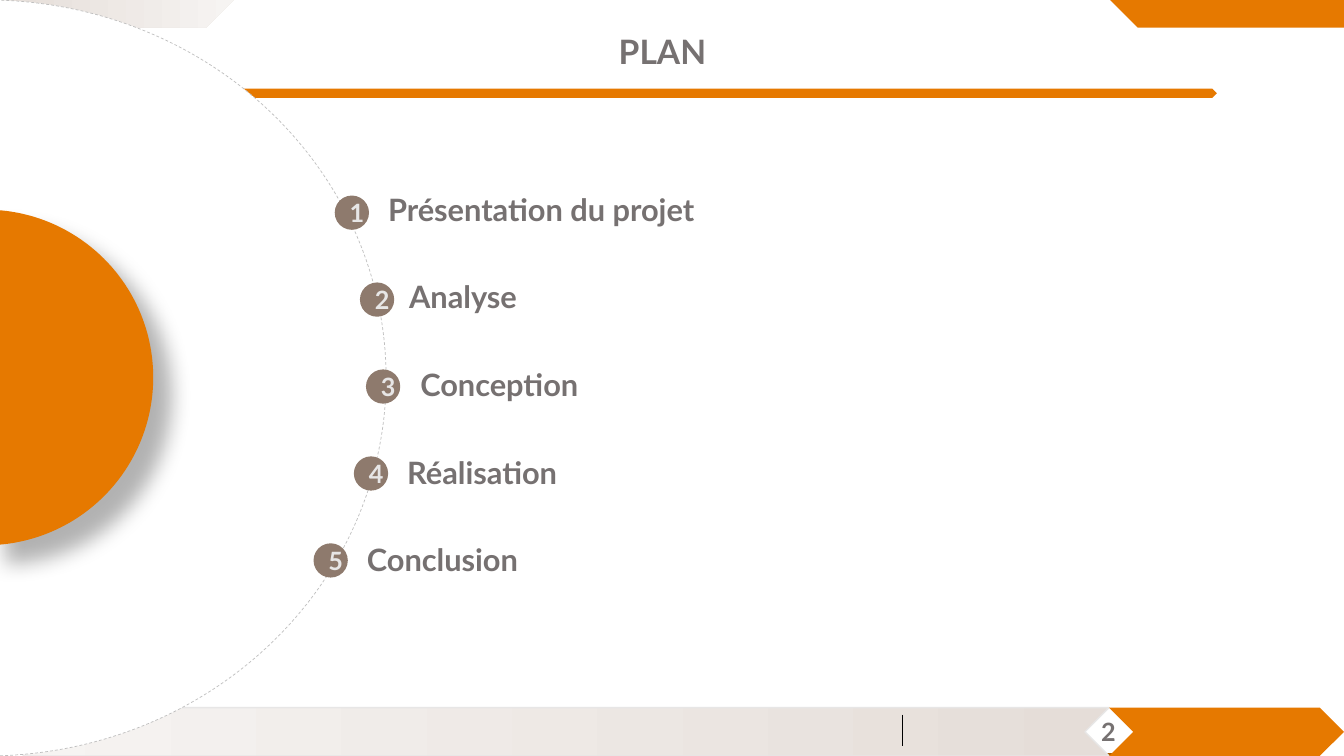
from lxml import etree
from pptx import Presentation
from pptx import util as u
from pptx.dml.color import RGBColor
from pptx.enum import dml, shapes, text
from pptx.oxml.ns import qn

ORANGE, BROWN, GREY, WHITE = "E67900", "8E7A6D", "767171", "FFFFFF"
SAND = ("E5DDD8", "F6F4F2")
SHAPE = shapes.MSO_SHAPE
HEADING = {"size": u.Pt(24), "name": "Lato", "bold": True}
TOPIC = {**HEADING, "size": u.Pt(22)}
NUMBER = {**HEADING, "size": u.Pt(18)}

# topic, left of its number, left of its label
AGENDA = [
    ("Présentation du projet", 3.32, 3.75),
    ("Analyse", 3.57, 3.96),
    ("Conception", 3.63, 4.07),
    ("Réalisation", 3.51, 3.94),
    ("Conclusion", 3.11, 3.54),
]


def rgb(value):
    return RGBColor.from_string(value)


def inches(*lengths):
    return [u.Inches(length) for length in lengths]


def add_flat(slide, kind, box, fill, line=None, line_width=1, rotation=0):
    """Add a shadowless shape; a pair of colours as fill makes a gradient."""
    shape = slide.shapes.add_shape(kind, *inches(*box))
    shape.shadow.inherit = False
    shape.rotation = rotation
    if isinstance(fill, tuple):
        shape.fill.gradient()
        shape.fill.gradient_angle = 0
        for stop, colour in zip(shape.fill.gradient_stops, fill):
            stop.color.rgb = rgb(colour)
    else:
        shape.fill.solid()
        shape.fill.fore_color.rgb = rgb(fill)
    if line:
        shape.line.color.rgb = rgb(line)
        shape.line.width = u.Pt(line_width)
    else:
        shape.line.fill.background()
    return shape


def write(shape, words, style, colour, align, anchor=text.MSO_ANCHOR.TOP, grow=True):
    frame = shape.text_frame
    frame.word_wrap = True
    frame.vertical_anchor = anchor
    if grow:
        frame.auto_size = text.MSO_AUTO_SIZE.SHAPE_TO_FIT_TEXT
    paragraph = frame.paragraphs[0]
    paragraph.alignment = align
    run = paragraph.add_run()
    run.text = words
    run.font.color.rgb = rgb(colour)
    for attribute, value in style.items():
        setattr(run.font, attribute, value)


def add_half_disc(slide, box, fill, **line):
    """Add the right half of a disc; its angles are in 60000ths of a degree, over 100000."""
    disc = add_flat(slide, SHAPE.ARC, box, fill, **line)
    disc.adjustments[0], disc.adjustments[1] = 162, 53.7
    return disc


def add_soft_shadow(shape):
    effects = shape._element.spPr.find(qn("a:effectLst"))
    shadow = etree.SubElement(
        effects, qn("a:outerShdw"), blurRad=str(u.Pt(15)), dist=str(u.Pt(18)),
        dir=str(45 * 60000), algn="tl", rotWithShape="0")
    colour = etree.SubElement(shadow, qn("a:srgbClr"), val="000000")
    etree.SubElement(colour, qn("a:alpha"), val="30000")


def add_header(slide, left, top, width):
    plate_width, plate_height = 2.32, 0.55
    plate_top = top - plate_height / 2
    add_flat(slide, SHAPE.PENTAGON, (left, plate_top, plate_width, plate_height), SAND)
    add_flat(slide, SHAPE.PENTAGON,
             (left + width - plate_width, plate_top, plate_width, plate_height),
             ORANGE, rotation=180)
    add_flat(slide, SHAPE.PENTAGON, (left + 1.47, top + 0.88, 10.6, 0.09), ORANGE)

    title = slide.shapes.title
    title.left, title.top, title.width, title.height = inches(left + 4.85, top + 0.26, 3.44, 0.5)
    write(title, "PLAN", HEADING, GREY, text.PP_ALIGN.CENTER)


def add_footer(slide, left, top, width, height):
    seam = left + 11
    add_flat(slide, SHAPE.CHEVRON, (left + 7.3, top + 0.09, 5.43, 0.39), "AC5B00", rotation=180)
    page = add_flat(slide, SHAPE.RECTANGLE, (seam - 0.27, top + 0.04, 0.53, 0.4),
                    WHITE, line=WHITE, line_width=0.5)
    write(page, "2", NUMBER, GREY, text.PP_ALIGN.CENTER)
    add_flat(slide, SHAPE.CHEVRON, (left, top, seam - left, height), SAND,
             line="E7E6E6", rotation=180)
    add_flat(slide, SHAPE.CHEVRON, (seam, top, left + width - seam, height), ORANGE)

    divider = slide.shapes.add_connector(
        shapes.MSO_CONNECTOR.STRAIGHT,
        *inches(left + 8.95, top + 0.07, left + 8.95, top + 0.38))
    divider.line.color.rgb = rgb("000000")
    divider.line.width = u.Pt(0.5)
    etree.SubElement(divider._element.spPr, qn("a:effectLst"))


def add_dial(slide, left, top, width, height):
    rim = add_half_disc(slide, (left, top, width, height), WHITE, line="BFBFBF", line_width=0.5)
    rim.line.dash_style = dml.MSO_LINE.DASH
    hub = add_half_disc(slide, (left + 2.29, top + 2.08, 3.33, 3.33), ORANGE)
    add_soft_shadow(hub)


def add_agenda(slide, top):
    for index, (topic, number_left, topic_left) in enumerate(AGENDA):
        label = slide.shapes.add_textbox(
            *inches(topic_left, top + 0.87 * index, 6.35, 0.47))
        write(label, topic, TOPIC, GREY, text.PP_ALIGN.LEFT)
        dot = add_flat(slide, SHAPE.OVAL,
                       (number_left, top + 0.1 + 0.8625 * index, 0.34, 0.34), BROWN)
        write(dot, str(index + 1), NUMBER, "E7E6E6", text.PP_ALIGN.CENTER,
              text.MSO_ANCHOR.MIDDLE, grow=False)


def main():
    deck = Presentation()
    deck.slide_width, deck.slide_height = inches(13.33, 7.5)
    slide = deck.slides.add_slide(deck.slide_layouts[5])
    add_header(slide, 0, 0, 13.33)
    add_footer(slide, 0, 7.02, 13.33, 0.48)
    add_dial(slide, -4.1, 0, 7.93, 7.5)
    add_agenda(slide, 1.84)
    deck.save("out.pptx")


if __name__ == "__main__":
    main()
